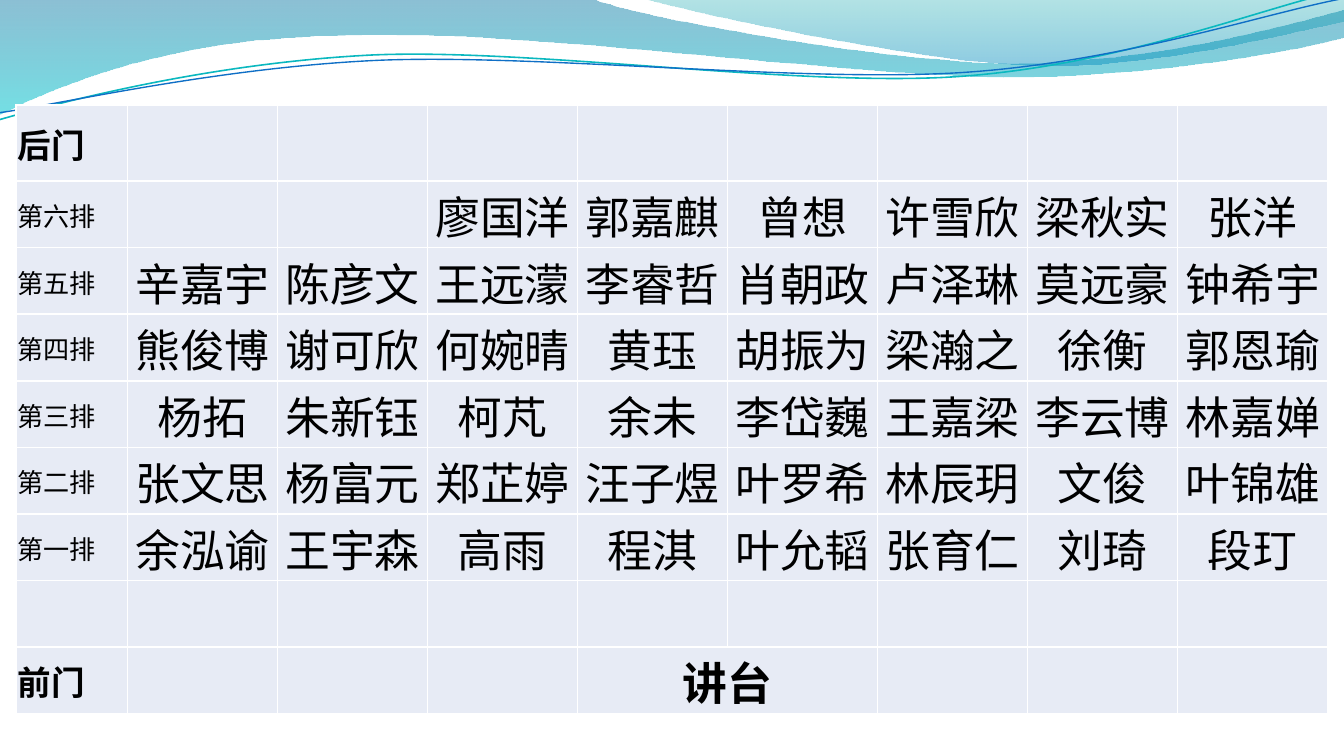
from pptx import Presentation
from pptx.dml.color import RGBColor
from pptx.enum.lang import MSO_LANGUAGE_ID
from pptx.enum.text import MSO_ANCHOR, PP_ALIGN
from pptx.oxml.ns import qn
from pptx.util import Cm, Pt
from lxml.etree import SubElement

FONT = "Vollkorn"
SEATS = {
    "第六排": ["", "", "廖国洋", "郭嘉麒", "曾想", "许雪欣", "梁秋实", "张洋"],
    "第五排": ["辛嘉宇", "陈彦文", "王远濛", "李睿哲", "肖朝政", "卢泽琳", "莫远豪", "钟希宇"],
    "第四排": ["熊俊博", "谢可欣", "何婉晴", "黄珏", "胡振为", "梁瀚之", "徐衡", "郭恩瑜"],
    "第三排": ["杨拓", "朱新钰", "柯芃", "余未", "李岱巍", "王嘉梁", "李云博", "林嘉婵"],
    "第二排": ["张文思", "杨富元", "郑芷婷", "汪子煜", "叶罗希", "林辰玥", "文俊", "叶锦雄"],
    "第一排": ["余泓谕", "王宇森", "高雨", "程淇", "叶允韬", "张育仁", "刘琦", "段玎"],
}
BLUE_NAMES = {
    "许雪欣", "梁秋实", "卢泽琳", "钟希宇", "谢可欣", "何婉晴", "郭恩瑜",
    "朱新钰", "李云博", "林嘉婵", "张文思", "郑芷婷", "汪子煜", "叶罗希",
    "林辰玥", "高雨", "程淇", "刘琦", "段玎",
}
BANDS = [
    ([(0, 0), (11.18, -0.03),
      (12.09, 0.33, 16.87, 1.19, 19.25, 1.19), (21.67, 1.19, 24.33, 0.48, 25.4, 0.18),
      (25.43, 0.69), (24.97, 0.84, 22.1, 1.45, 18.95, 1.45),
      (15.8, 1.42, 9.7, 0.53, 6.53, 0.66), (3.28, 0.69, 1.17, 1.57, -0.03, 2.16)],
     [("0074A1", 45), ("00C6CF", 55)]),
    ([(12.17, -0.03), (12.93, 0.2, 17.32, 1.17, 19.53, 1.24),
      (21.74, 1.32, 24.41, 0.61, 25.4, 0.41), (25.4, 0)],
     [("00A1A9", 30), ("008BBF", 45)]),
]
STRANDS = [
    ([(0, 2.26), (1.22, 1.91, 4.01, 1.19, 7.04, 1.04),
      (10.06, 0.91, 15.04, 1.65, 18.08, 1.45), (21.16, 1.24, 23.85, 0.15, 25.35, -0.18)],
     "0AB8BF", 0.85),
    ([(0, 2.13), (1.19, 1.96, 4.17, 1.27, 7.19, 1.14),
      (10.24, 1.02, 15.16, 1.57, 18.21, 1.37), (21.23, 1.17, 23.9, 0.25, 25.4, -0.03)],
     "0F6FC6", 0.75),
]


def color(value):
    """Turn a hex string into a colour."""
    return RGBColor.from_string(value)


def add_outline(page, left, top, segments, close):
    """Add a freeform of lines and cubic curves, in centimetres from left and top."""
    points = [(Cm(left + segment[i]), Cm(top + segment[i + 1]))
              for segment in segments for i in range(0, len(segment), 2)]
    builder = page.shapes.build_freeform(*points[0])
    builder.add_line_segments(points[1:], close=close)
    shape = builder.convert_to_shape()
    shape.shadow.inherit = False
    lines = iter(list(shape._element.iter(qn("a:lnTo"))))
    for segment in segments[1:]:
        line = next(lines)
        if len(segment) == 6:
            curve = line.makeelement(qn("a:cubicBezTo"))
            line.getparent().replace(line, curve)
            for node in (line, next(lines), next(lines)):
                curve.append(node[0])
                if node.getparent() is not None:
                    node.getparent().remove(node)
    return shape


def add_waves(page, left, top):
    """Draw the translucent bands and thin strands along the top."""
    for segments, stops in BANDS:
        band = add_outline(page, left, top, segments, True)
        band.line.fill.background()
        band.fill.gradient()
        band.fill.gradient_angle = 270
        for stop, (tone, _) in zip(band.fill.gradient_stops, stops):
            stop.color.rgb = color(tone)
        tones = band._element.spPr.iter(qn("a:srgbClr"))
        for tone, (_, opacity) in zip(list(tones), stops):
            SubElement(tone, qn("a:alpha"), val=str(opacity * 1000))
    for segments, tone, width in STRANDS:
        strand = add_outline(page, left, top, segments, False)
        strand.fill.background()
        strand.line.color.rgb = color(tone)
        strand.line.width = Pt(width)


def add_line_fill(line, tone):
    """Give a line element a solid colour."""
    fill = SubElement(line, qn("a:solidFill"))
    SubElement(fill, qn("a:srgbClr"), val=tone)


def style_cell(cell):
    """Set fill, insets and white borders of a cell."""
    cell.margin_left = cell.margin_right = cell.margin_top = Cm(0.03)
    cell.margin_bottom = 0
    cell.vertical_anchor = MSO_ANCHOR.MIDDLE
    properties = cell._tc.get_or_add_tcPr()
    for side in ("a:lnL", "a:lnR", "a:lnT", "a:lnB"):
        add_line_fill(SubElement(properties, qn(side), w=str(Pt(1))), "FFFFFF")
    cell.fill.solid()
    cell.fill.fore_color.rgb = color("E7EBF5")


def write_cell(cell, text, size, outline=None, bold=False, centered=False):
    """Write one run into a cell."""
    para = cell.text_frame.paragraphs[0]
    para.alignment = PP_ALIGN.CENTER if centered else PP_ALIGN.LEFT
    span = para.add_run()
    span.text = text
    span.font.size = Pt(size)
    span.font.bold = bold
    span.font.name = FONT
    span.font.language_id = MSO_LANGUAGE_ID.SIMPLIFIED_CHINESE
    span.font.color.rgb = color("000000")
    if outline:
        properties = span._r.get_or_add_rPr()
        line = SubElement(properties, qn("a:ln"), w=str(Pt(0.75)))
        add_line_fill(line, outline)
        properties.insert(0, line)


def add_seating(page, left, top, width, height):
    """Place the seating table between back door and front door."""
    row_count, column_count = len(SEATS) + 3, 9
    label_width, door_height = 2.11, 1.44
    table = page.shapes.add_table(
        row_count, column_count, Cm(left), Cm(top), Cm(width), Cm(height)).table
    table.first_row = table.horz_banding = False
    for index, column in enumerate(table.columns):
        seat_width = (width - label_width) / (column_count - 1)
        column.width = Cm(seat_width if index else label_width)
    for index, row in enumerate(table.rows):
        seat_height = (height - door_height) / (row_count - 1)
        row.height = Cm(seat_height if index else door_height)
    for cell in table.iter_cells():
        style_cell(cell)

    last = row_count - 1
    write_cell(table.cell(0, 0), "后门", 18, "FF0000", bold=True)
    write_cell(table.cell(last, 0), "前门", 18, "FF0000", bold=True)
    podium = table.cell(last, 4)
    podium.merge(table.cell(last, 5))
    write_cell(podium, "讲台", 24, "FF0000", bold=True, centered=True)
    for row, (label, names) in enumerate(SEATS.items(), start=1):
        write_cell(table.cell(row, 0), label, 14)
        for column, name in enumerate(names, start=1):
            if name:
                outline = "0000FF" if name in BLUE_NAMES else "000000"
                write_cell(table.cell(row, column), name, 24, outline, centered=True)


def main():
    """Build and save the deck."""
    deck = Presentation()
    deck.slide_width, deck.slide_height = Cm(25.4), Cm(14.29)
    page = deck.slides.add_slide(deck.slide_layouts[6])
    add_waves(page, 0, 0)
    add_seating(page, 0.3, 1.98, 24.79, 11.5)
    deck.save("out.pptx")


if __name__ == "__main__":
    main()
